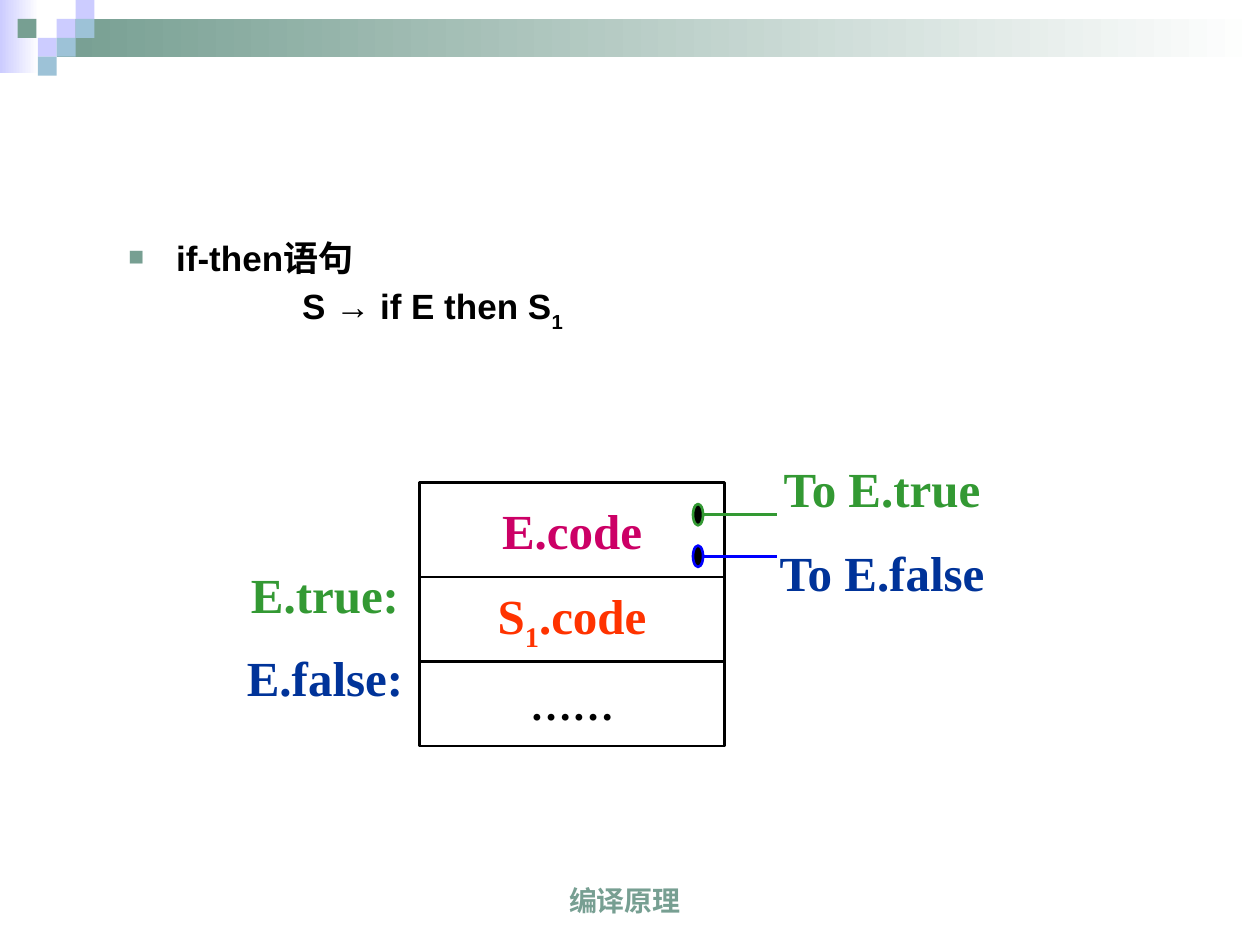
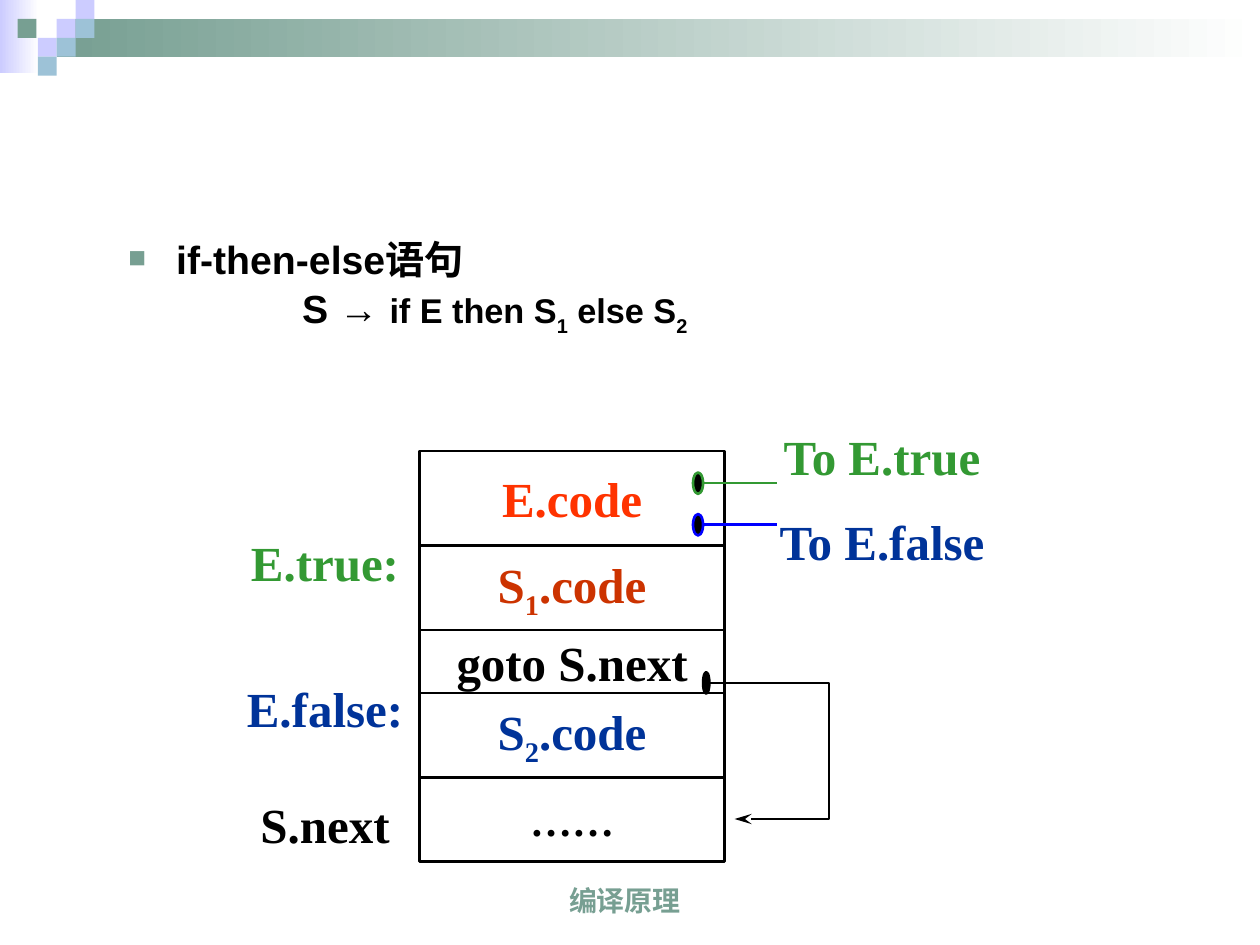
from itertools import accumulate

from lxml.etree import SubElement
from pptx import Presentation
from pptx.dml.color import RGBColor
from pptx.enum.shapes import MSO_CONNECTOR, MSO_SHAPE
from pptx.enum.text import MSO_ANCHOR, PP_ALIGN
from pptx.oxml.ns import qn
from pptx.util import Inches, Pt

COLORS = {
    "lilac": "CCCCFF", "sage": "779F92", "sky": "9DC2D7", "white": "FFFFFF",
    "black": "000000", "green": "339933", "navy": "003399", "blue": "0000FF",
    "magenta": "CC0066", "orange": "FF3300", "rust": "CC3300",
}
SANS, SERIF = "Arial", "Times New Roman"
TILE = 0.15
STACK_LEFT, STACK_WIDTH = 3.33, 2.42
LABEL_HEIGHT = 0.58
DOT_HEIGHT = 0.17


def color(name):
    return RGBColor.from_string(COLORS[name])


def inches(*lengths):
    return [Inches(length) for length in lengths]


def write(para, text, size=28, ink="black", font=SERIF, drop=-25):
    """Add bold text; a character after "_" is a subscript lowered by drop percent."""
    head, *rest = text.split("_")
    pieces = [(head, 0)]
    for part in rest:
        pieces += [(part[0], drop), (part[1:], 0)]
    for piece, baseline in pieces:
        if not piece:
            continue
        span = para.add_run()
        span.text = piece
        span.font.name, span.font.size, span.font.bold = font, Pt(size), True
        span.font.color.rgb = color(ink)
        if baseline:
            span.font._rPr.set("baseline", str(baseline * 1000))


def write_centered(box, text, anchor=MSO_ANCHOR.MIDDLE, wrap=False, **style):
    frame = box.text_frame
    frame.word_wrap, frame.vertical_anchor = wrap, anchor
    frame.paragraphs[0].alignment = PP_ALIGN.CENTER
    write(frame.paragraphs[0], text, **style)


def outline(shape, ink):
    shape.line.color.rgb = color(ink)
    shape.line.width = Pt(1.5)


def add_block(page, at, fill=None, line=None, kind=MSO_SHAPE.RECTANGLE):
    block = page.shapes.add_shape(kind, *inches(*at))
    block.shadow.inherit = False
    if fill:
        block.fill.solid()
        block.fill.fore_color.rgb = color(fill)
    else:
        block.fill.background()
    if line:
        outline(block, line)
    else:
        block.line.fill.background()
    return block


def add_fade(page, at, start):
    """Draw a band that fades to white from left to right."""
    band = add_block(page, at)
    band.fill.gradient()
    band.fill.gradient_angle = 0
    for stop, name, position in zip(band.fill.gradient_stops, (start, "white"), (0, 1)):
        stop.color.rgb = color(name)
        stop.position = position


def add_header(page):
    add_fade(page, (0, 0, 0.31, 0.58), "lilac")
    add_fade(page, (0.45, 0.15, 9.55, 0.3), "sage")
    tiles = [(3, 1, "lilac"), (4, 0, "lilac"), (4, 1, "sky"), (2, 2, "lilac"),
             (0.93, 1, "sage"), (3, 2, "sky"), (2, 3, "sky")]
    for column, row, name in tiles:
        add_block(page, (column * TILE, row * TILE, TILE, TILE), name)


def add_footer(page):
    box = page.shapes.add_textbox(*inches(3.19, 6.83, 3.54, 0.5))
    write_centered(box, "编译原理", anchor=MSO_ANCHOR.BOTTOM, wrap=True,
                   size=16, ink="sage", font=SANS)


def add_bullet(para):
    props = para._p.get_or_add_pPr()
    SubElement(SubElement(props, qn("a:buClr")), qn("a:srgbClr")).set("val", COLORS["sage"])
    SubElement(props, qn("a:buSzPct")).set("val", "75000")
    SubElement(props, qn("a:buFont")).set("typeface", SANS)
    SubElement(props, qn("a:buChar")).set("char", "■")


def add_grammar(page, heading, rule, size, gap):
    """Write the bulleted heading and, below it, the rule as (text, size) pairs."""
    box = page.shapes.add_textbox(*inches(0.92, 1.92, 8.58, 0.75))
    frame = box.text_frame
    frame.word_wrap = True
    title, production = frame.paragraphs[0], frame.add_paragraph()
    for para, margin, indent in ((title, 0.38, -0.38), (production, 1.38, 0)):
        props = para._p.get_or_add_pPr()
        props.set("marL", str(Inches(margin)))
        props.set("indent", str(Inches(indent)))
        para.line_spacing = 0.7
    production.space_before = Pt(gap)
    add_bullet(title)
    write(title, heading, size=size, font=SANS)
    for text, text_size in rule:
        write(production, text, size=text_size, font=SANS, drop=-30)


def add_label(page, center, top, text, ink, width):
    box = page.shapes.add_textbox(*inches(center - width / 2, top, width, LABEL_HEIGHT))
    box.text_frame.margin_left = box.text_frame.margin_right = 0
    write_centered(box, text, ink=ink)


def add_exit(page, top, line):
    """Draw a dot inside the stack with a line leading out to the right."""
    left, width = STACK_LEFT + 2.17, 0.08
    middle = top + DOT_HEIGHT / 2
    wire = page.shapes.add_connector(
        MSO_CONNECTOR.STRAIGHT, *inches(left + width, middle, left + 0.67, middle))
    outline(wire, line)
    SubElement(wire._element.spPr, qn("a:effectLst"))
    add_block(page, (left, top, width, DOT_HEIGHT), "black", line, MSO_SHAPE.OVAL)


def add_jump(page, start, end):
    """Draw the arrow that leaves the goto row and returns at the last row."""
    left, right = STACK_LEFT + 2.3, STACK_LEFT + 3.25
    points = [inches(*point) for point in
              ((right, start), (right, end), (STACK_LEFT + 2.5, end))]
    builder = page.shapes.build_freeform(*inches(left, start))
    builder.add_line_segments(points, close=False)
    arrow = builder.convert_to_shape()
    arrow.shadow.inherit = False
    arrow.fill.background()
    outline(arrow, "black")
    head = SubElement(arrow.line._get_or_add_ln(), qn("a:tailEnd"))
    head.set("type", "stealth")
    head.set("len", "lg")
    add_block(page, (left - 0.05, start - DOT_HEIGHT / 2, 0.05, DOT_HEIGHT),
              "black", "black", MSO_SHAPE.OVAL)


def add_code_stack(page, top, rows, labels):
    """Stack rows of (height, text, ink, size); labels are (row, text, ink, shift).

    Returns the top of each row.
    """
    tops = list(accumulate((row[0] for row in rows[:-1]), initial=top))
    for row_top, (height, text, ink, size) in zip(tops, rows):
        cell = add_block(page, (STACK_LEFT, row_top, STACK_WIDTH, height), line="black")
        write_centered(cell, text, ink=ink, size=size)
    for row, text, ink, shift in labels:
        add_label(page, STACK_LEFT - 0.75, tops[row] + shift, text, ink, width=1.5)
    exits = [("To E.true", "green", "green"), ("To E.false", "navy", "blue")]
    for index, (text, ink, line) in enumerate(exits):
        add_exit(page, top + 0.17 + 0.33 * index, line)
        add_label(page, STACK_LEFT + 3.67, top - 0.25 + 0.67 * index, text, ink, width=1.8)
    return tops


def add_page(deck):
    page = deck.slides.add_slide(deck.slide_layouts[6])
    add_header(page)
    add_footer(page)
    return page


def add_if_then(deck):
    page = add_page(deck)
    add_grammar(page, "if-then语句", [("S → if E then S_1", 20)], size=20, gap=8)
    rows = [(0.75, "E.code", "magenta", 28), (0.67, "S_1.code", "orange", 28),
            (0.67, "……", "black", 24)]
    labels = [(1, "E.true:", "green", -0.16), (2, "E.false:", "navy", -0.17)]
    add_code_stack(page, 3.83, rows, labels)


def add_if_then_else(deck):
    page = add_page(deck)
    rule = [("S → ", 22.4), ("if E then S_1 else S_2", 19.6)]
    add_grammar(page, "if-then-else语句", rule, size=22.4, gap=7)
    rows = [(0.75, "E.code", "orange", 28), (0.67, "S_1.code", "rust", 28),
            (0.5, "goto S.next", "black", 28), (0.67, "S_2.code", "navy", 28),
            (0.67, "……", "black", 24)]
    labels = [(1, "E.true:", "green", -0.16), (3, "E.false:", "navy", -0.17),
              (4, "S.next", "black", 0.08)]
    tops = add_code_stack(page, 3.58, rows, labels)
    add_jump(page, tops[2] + 0.42, tops[4] + 0.33)


def main():
    deck = Presentation()
    deck.slide_width, deck.slide_height = inches(10, 7.5)
    add_if_then(deck)
    add_if_then_else(deck)
    deck.save("out.pptx")


if __name__ == "__main__":
    main()
